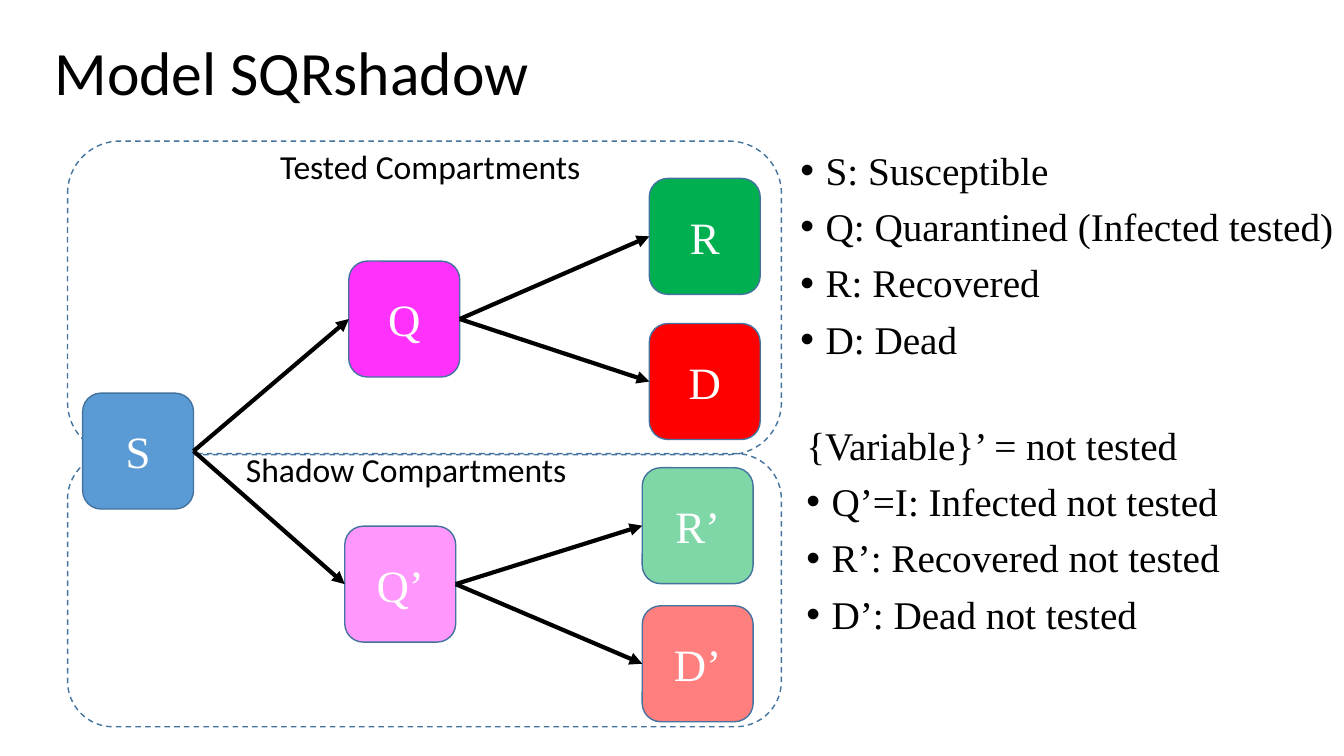
from lxml import etree
from pptx import Presentation
from pptx.dml.color import RGBColor
from pptx.enum.dml import MSO_LINE
from pptx.enum.shapes import MSO_CONNECTOR, MSO_SHAPE
from pptx.enum.text import MSO_ANCHOR, MSO_AUTO_SIZE, PP_ALIGN
from pptx.oxml.ns import qn
from pptx.util import Pt

ROUNDED = MSO_SHAPE.ROUNDED_RECTANGLE
STRAIGHT = MSO_CONNECTOR.STRAIGHT
DASH = MSO_LINE.DASH
MIDDLE = MSO_ANCHOR.MIDDLE
LEFT, CENTER = PP_ALIGN.LEFT, PP_ALIGN.CENTER
NO_FIT, GROW = MSO_AUTO_SIZE.NONE, MSO_AUTO_SIZE.SHAPE_TO_FIT_TEXT

EMU_PER_PX = 9144
NODE_WIDTH, NODE_HEIGHT = 110, 115
INDENT = 25
LEFT_SIDE, RIGHT_SIDE = 1, 3
SANS, SERIF = "Calibri", "Times New Roman"
COLORS = {
    "text": "000000",
    "node_text": "FFFFFF",
    "outline": "43739E",
    "susceptible": "5B9BD5",
    "quarantined": "FF31FA",
    "recovered": "00B050",
    "dead": "FF0000",
}

GROUPS = [(67, 140, 708, 311), (67, 450, 708, 271)]
NODES = [
    ("S", 82, 390, "susceptible"),
    ("R", 644, 177, "recovered"),
    ("D", 644, 321, "dead"),
    ("Q", 346, 259, "quarantined"),
    ("R’", 637, 464, "recovered"),
    ("D’", 637, 601, "dead"),
    ("Q’", 342, 522, "quarantined"),
]
FLOWS = [("S", "Q"), ("Q", "R"), ("Q", "D"), ("S", "Q’"), ("Q’", "R’"), ("Q’", "D’")]
TESTED_LEGEND = [
    "S: Susceptible",
    "Q: Quarantined (Infected tested)",
    "R: Recovered",
    "D: Dead",
]
SHADOW_HEADING = "{Variable}’ = not tested"
SHADOW_LEGEND = [
    "Q’=I: Infected not tested",
    "R’: Recovered not tested",
    "D’: Dead not tested",
]


def px(length):
    return length * EMU_PER_PX


def box(left, top, width, height):
    return px(left), px(top), px(width), px(height)


def color(name):
    return RGBColor.from_string(COLORS[name])


def add_run(paragraph, text, size, font, tint="text"):
    run = paragraph.add_run()
    run.text = text
    run.font.size = Pt(size)
    run.font.name = font
    run.font.color.rgb = color(tint)


def add_title(slide, text):
    title = slide.shapes.title
    title.left, title.top, title.width, title.height = box(44, 27, 1279, 96)
    frame = title.text_frame
    frame.auto_size = NO_FIT
    frame.vertical_anchor = MIDDLE
    paragraph = frame.paragraphs[0]
    paragraph.alignment = LEFT
    paragraph.line_spacing = 0.9
    add_run(paragraph, text, 44, SANS)


def add_rounded(slide, *area):
    rounded = slide.shapes.add_shape(ROUNDED, *box(*area))
    rounded.shadow.inherit = False
    rounded.line.color.rgb = color("outline")
    rounded.line.width = Pt(1)
    return rounded


def add_group(slide, area):
    group = add_rounded(slide, *area)
    group.fill.background()
    group.line.dash_style = DASH


def add_node(slide, label, left, top, tint):
    node = add_rounded(slide, left, top, NODE_WIDTH, NODE_HEIGHT)
    node.fill.solid()
    node.fill.fore_color.rgb = color(tint)
    if label.endswith("’"):
        fill = node.fill._xPr.find(qn("a:solidFill"))
        etree.SubElement(fill[0], qn("a:alpha"), val="50000")
    frame = node.text_frame
    frame.vertical_anchor = MIDDLE
    paragraph = frame.paragraphs[0]
    paragraph.alignment = CENTER
    add_run(paragraph, label, 32, SERIF, "node_text")
    return node


def add_flow(slide, source, target):
    flow = slide.shapes.add_connector(STRAIGHT, 0, 0, 0, 0)
    flow.begin_connect(source, RIGHT_SIDE)
    flow.end_connect(target, LEFT_SIDE)
    flow.line.color.rgb = color("text")
    flow.line.width = Pt(3)
    etree.SubElement(flow.line._get_or_add_ln(), qn("a:tailEnd"), type="triangle")
    etree.SubElement(flow._element.spPr, qn("a:effectLst"))


def add_bullet(paragraph):
    properties = paragraph._p.get_or_add_pPr()
    properties.set("marL", str(px(INDENT)))
    properties.set("indent", str(-px(INDENT)))
    etree.SubElement(properties, qn("a:buFont"), typeface="Arial")
    etree.SubElement(properties, qn("a:buChar"), char="•")


def add_legend(slide, area, entries, heading=None):
    frame = slide.shapes.add_textbox(*box(*area)).text_frame
    frame.word_wrap = True
    lines = [heading, *entries] if heading else entries
    for index, line in enumerate(lines):
        paragraph = frame.add_paragraph() if index else frame.paragraphs[0]
        paragraph.line_spacing = 0.9
        if index:
            paragraph.space_before = Pt(10)
        if line != heading:
            add_bullet(paragraph)
        add_run(paragraph, line, 28, SERIF)


def add_group_label(slide, area, text):
    frame = slide.shapes.add_textbox(*box(*area)).text_frame
    frame.word_wrap = False
    frame.auto_size = GROW
    add_run(frame.paragraphs[0], text, 24, SANS)


def main():
    deck = Presentation()
    deck.slide_width, deck.slide_height = px(1333), px(750)
    slide = deck.slides.add_slide(deck.slide_layouts[5])
    for area in GROUPS:
        add_group(slide, area)
    add_title(slide, "Model SQRshadow")
    add_legend(slide, (784, 145, 549, 281), TESTED_LEGEND)
    nodes = {node[0]: add_node(slide, *node) for node in NODES}
    for source, target in FLOWS:
        add_flow(slide, nodes[source], nodes[target])
    add_legend(slide, (790, 418, 534, 262), SHADOW_LEGEND, SHADOW_HEADING)
    add_group_label(slide, (268, 140, 321, 50), "Tested Compartments")
    add_group_label(slide, (234, 440, 341, 50), "Shadow Compartments")
    deck.save("out.pptx")


if __name__ == "__main__":
    main()
